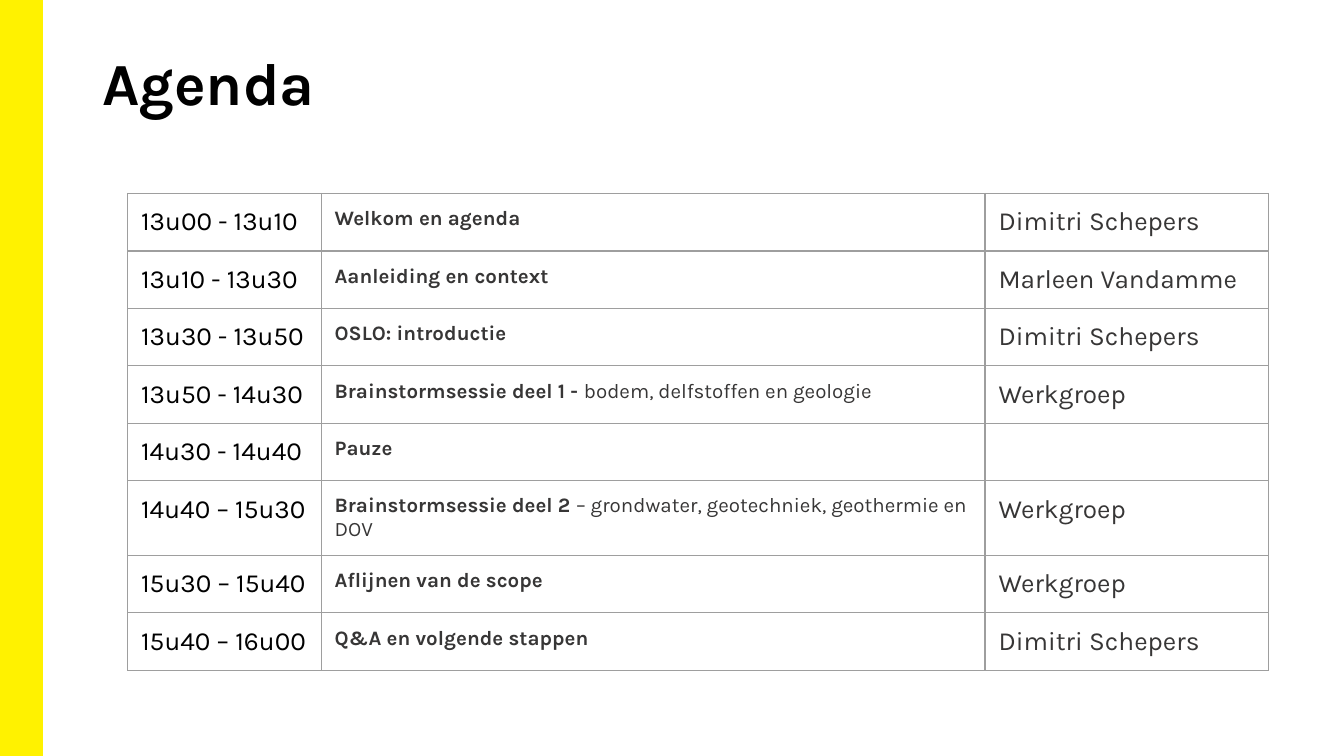
"""Build the agenda slide: a yellow side bar, a title and a timetable."""
from dataclasses import dataclass
from typing import Any

import lxml.etree
import pptx
import pptx.dml.color
import pptx.enum.shapes
import pptx.enum.text
import pptx.oxml.ns
import pptx.util

Inches = pptx.util.Inches
Pt = pptx.util.Pt
RGB = pptx.dml.color.RGBColor
qn = pptx.oxml.ns.qn


@dataclass(frozen=True)
class Theme:
    """Colours, font and type sizes of the slide."""
    font: str = "Karla"
    accent: RGB = RGB(0xFF, 0xF2, 0x00)
    ink: RGB = RGB(0x00, 0x00, 0x00)
    text: RGB = RGB(0x37, 0x36, 0x36)
    border: RGB = RGB(0x9E, 0x9E, 0x9E)
    title_size: int = 32
    cell_size: int = 14
    topic_size: int = 11
    border_width: float = 0.75


@dataclass(frozen=True)
class Item:
    """One agenda row."""
    time: str
    topic: str
    detail: str = ""
    speaker: str = ""


THEME = Theme()
SLIDE_WIDTH = Inches(10)
SLIDE_HEIGHT = SLIDE_WIDTH * 9 // 16
COLUMNS = (1.44, 4.94, 2.11)
ROW_HEIGHT = 0.42
AGENDA = (
    Item("13u00 - 13u10", "Welkom en agenda", speaker="Dimitri Schepers"),
    Item("13u10 - 13u30", "Aanleiding en context", speaker="Marleen Vandamme"),
    Item("13u30 - 13u50", "OSLO: introductie", speaker="Dimitri Schepers"),
    Item("13u50 - 14u30", "Brainstormsessie deel 1 - ",
         "bodem, delfstoffen en geologie", "Werkgroep"),
    Item("14u30 - 14u40", "Pauze"),
    Item("14u40 – 15u30", "Brainstormsessie deel 2 ",
         "– grondwater, geotechniek, geothermie en DOV", "Werkgroep"),
    Item("15u30 – 15u40", "Aflijnen van de scope", speaker="Werkgroep"),
    Item("15u40 – 16u00", "Q&A en volgende stappen", speaker="Dimitri Schepers"),
)


def apply(target: Any, values: dict[str, Any]) -> None:
    """Set each named attribute on the target."""
    for name, value in values.items():
        setattr(target, name, value)


def add_run(p: Any, text: str, size: int, color: RGB, bold: bool = False) -> None:
    """Append a formatted run to a paragraph."""
    r = p.add_run()
    r.text = text
    apply(r.font, {"name": THEME.font, "size": Pt(size), "bold": bold})
    r.font.color.rgb = color


def add_borders(cell: Any) -> None:
    """Draw a thin line on all four sides of a cell."""
    props = cell._tc.get_or_add_tcPr()
    for index, side in enumerate(("lnL", "lnR", "lnT", "lnB")):
        line = lxml.etree.Element(qn(f"a:{side}"), w=str(Pt(THEME.border_width)))
        fill = lxml.etree.SubElement(line, qn("a:solidFill"))
        lxml.etree.SubElement(fill, qn("a:srgbClr"), val=str(THEME.border))
        props.insert(index, line)


def fill_cell(cell: Any, runs: list[tuple]) -> None:
    """Format one cell and write its non-empty runs."""
    margins = ("margin_left", "margin_right", "margin_top", "margin_bottom")
    apply(cell, dict.fromkeys(margins, Inches(0.1)))
    cell.fill.background()
    add_borders(cell)
    p = cell.text_frame.paragraphs[0]
    for run in runs:
        if run[0]:
            add_run(p, *run)
    if not p.runs:
        end = p._p.get_or_add_endParaRPr()
        end.set("sz", str(THEME.cell_size * 100))
        lxml.etree.SubElement(end, qn("a:latin"), typeface=THEME.font)


def add_side_bar(s: Any) -> None:
    """Draw the yellow bar along the left edge."""
    sp = s.shapes.add_shape(pptx.enum.shapes.MSO_SHAPE.RECTANGLE,
                            0, 0, Inches(0.31), SLIDE_HEIGHT)
    sp.shadow.inherit = False
    sp.fill.solid()
    sp.fill.fore_color.rgb = THEME.accent
    sp.line.color.rgb = THEME.accent
    sp.line.width = Pt(1)


def set_title(s: Any, text: str) -> None:
    """Place and format the title placeholder."""
    sp = s.shapes.title
    apply(sp, {"left": Inches(0.69), "top": Inches(0.3),
               "width": Inches(8.62), "height": Inches(0.81)})
    tf = sp.text_frame
    apply(tf, {"margin_left": Inches(0.07), "margin_right": Inches(0.07),
               "margin_top": Inches(0.04), "margin_bottom": Inches(0.04),
               "word_wrap": True,
               "auto_size": pptx.enum.text.MSO_AUTO_SIZE.NONE,
               "vertical_anchor": pptx.enum.text.MSO_ANCHOR.TOP})
    p = tf.paragraphs[0]
    p.alignment = pptx.enum.text.PP_ALIGN.LEFT
    add_run(p, text, THEME.title_size, THEME.ink, True)


def add_agenda(s: Any, items: tuple[Item, ...]) -> None:
    """Add the timetable with one row per item."""
    table = s.shapes.add_table(
        len(items), len(COLUMNS), Inches(0.95), Inches(1.44),
        Inches(sum(COLUMNS)), Inches(ROW_HEIGHT * len(items))).table
    apply(table, {"first_row": False, "horz_banding": False})
    for column, width in zip(table.columns, COLUMNS):
        column.width = Inches(width)
    for row, item in zip(table.rows, items):
        row.height = Inches(ROW_HEIGHT)
        contents = (
            [(item.time, THEME.cell_size, THEME.ink)],
            [(item.topic, THEME.topic_size, THEME.text, True),
             (item.detail, THEME.topic_size, THEME.text)],
            [(item.speaker, THEME.cell_size, THEME.text)],
        )
        for cell, runs in zip(row.cells, contents):
            fill_cell(cell, runs)


def main() -> None:
    """Create and save the presentation."""
    prs = pptx.Presentation()
    apply(prs, {"slide_width": SLIDE_WIDTH, "slide_height": SLIDE_HEIGHT})
    s = prs.slides.add_slide(prs.slide_layouts.get_by_name("Title Only"))
    add_side_bar(s)
    set_title(s, "Agenda")
    add_agenda(s, AGENDA)
    prs.save("out.pptx")


if __name__ == "__main__":
    main()
